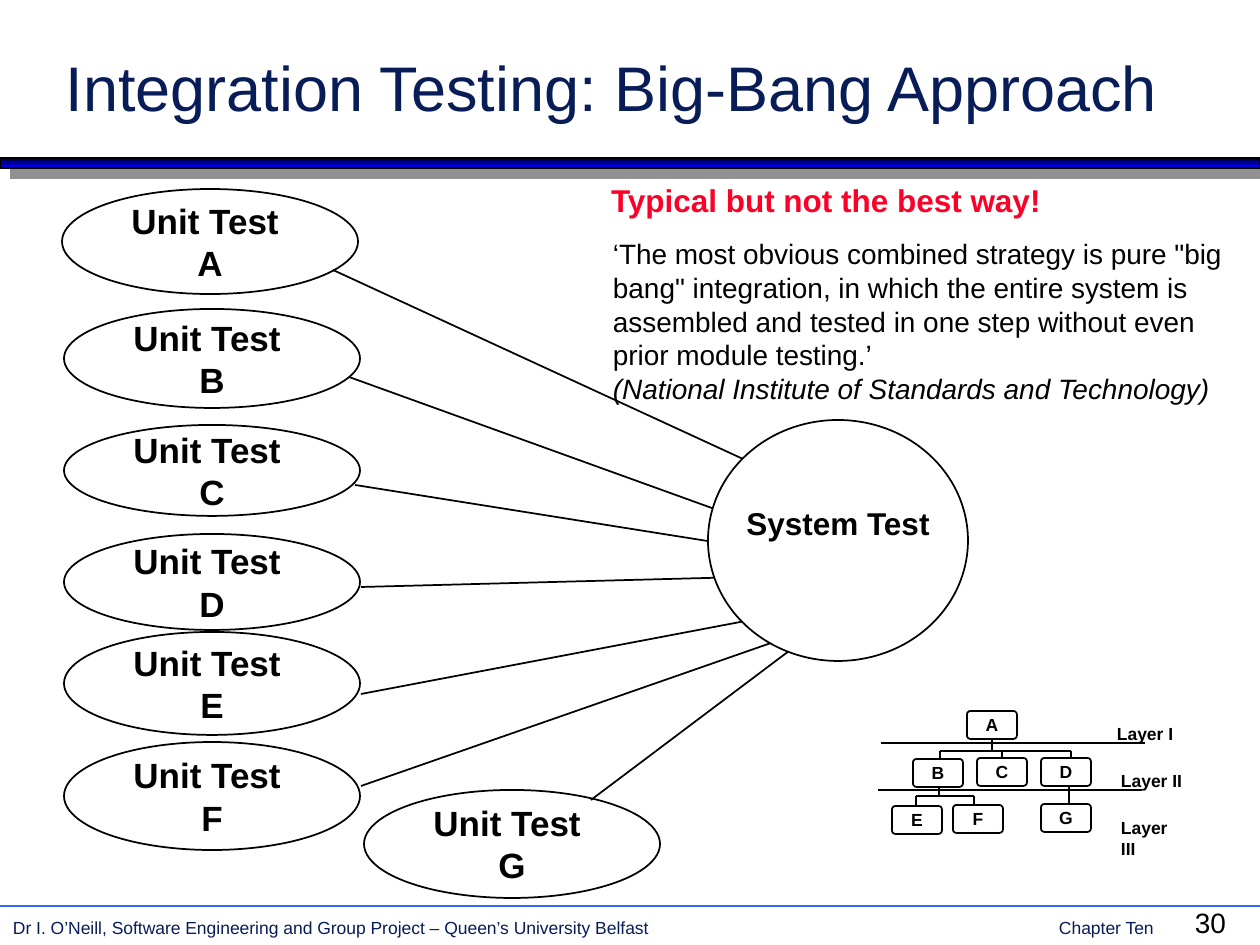
from lxml import etree
from pptx import Presentation
from pptx.dml.color import RGBColor
from pptx.enum.shapes import MSO_CONNECTOR as Connector, MSO_SHAPE as Shape
from pptx.enum.text import MSO_ANCHOR as Anchor, PP_ALIGN as Align
from pptx.oxml import parse_xml
from pptx.oxml.ns import nsdecls, qn
from pptx.util import Pt

EMU_PER_PX = 914400 / 126
COLOURS = {
    "navy": "081D58", "black": "000000", "white": "FFFFFF", "red": "FC0128",
    "rule": "3366FF", "bar_top": "000036", "bar_bottom": "0000FF", "shadow": "919191",
}
UNIT_WIDTH = 296
UNITS = [
    ("A", 0, 0, 105, (271, 81, 707, 282)),
    ("B", 2, 120, 99, (287, 188, 683, 331)),
    ("C", 2, 236, 91, (293, 296, 683, 358)),
    ("D", 2, 345, 96, (299, 398, 683, 388)),
    ("E", 2, 443, 103, (299, 505, 694, 430)),
    ("F", 2, 553, 108, (299, 597, 709, 454)),
    ("G", 302, 601, 108, (529, 611, 727, 462)),
]
MODULES = [("A", 89, 1), ("B", 35, 49), ("C", 99, 48), ("D", 163, 48),
           ("E", 14, 96), ("F", 75, 95), ("G", 163, 94)]
BRANCHES = [
    (114, 28, 114, 40), (62, 41, 193, 41), (62, 41, 62, 49), (124, 41, 124, 48),
    (193, 41, 193, 48), (61, 77, 61, 85), (38, 86, 96, 86), (38, 86, 38, 96),
    (96, 86, 96, 95), (191, 76, 191, 94), (3, 33, 267, 33), (0, 80, 264, 80),
]
LAYERS = [("Layer I", 226, 7), ("Layer II", 230, 54), ("Layer III", 230, 101)]


def px(*lengths):
    """Turn pixel lengths into EMU."""
    return [round(length * EMU_PER_PX) for length in lengths]


def colour(name):
    """Look up a named colour."""
    return RGBColor.from_string(COLOURS[name])


def add_span(para, text, size, ink="black", **formats):
    """Add one formatted run to a paragraph."""
    span = para.add_run()
    span.text = text
    for key, value in {"name": "Arial", "size": Pt(size), **formats}.items():
        setattr(span.font, key, value)
    span.font.color.rgb = colour(ink)


def set_frame(shape, wrap, **formats):
    """Give a shape's text frame the standard insets and return it."""
    left, top = px(13, 6)
    values = {"margin_left": left, "margin_right": left, "margin_top": top,
              "margin_bottom": top, "word_wrap": wrap, **formats}
    for key, value in values.items():
        setattr(shape.text_frame, key, value)
    return shape.text_frame


def add_text(page, box, text, size, ink="black", wrap=True, anchor=Anchor.TOP, **formats):
    """Place a text box and return its first paragraph."""
    frame = set_frame(page.shapes.add_textbox(*px(*box)), wrap, vertical_anchor=anchor)
    para = frame.paragraphs[0]
    add_span(para, text, size, ink, **formats)
    return para


def add_node(page, kind, box, lines, size, fill=None, **formats):
    """Place an outlined shape with centred bold lines of text."""
    node = page.shapes.add_shape(kind, *px(*box))
    node.shadow.inherit = False
    node.line.color.rgb, node.line.width = colour("black"), Pt(1)
    if fill:
        node.fill.solid()
        node.fill.fore_color.rgb = colour(fill)
    else:
        node.fill.background()
    frame = set_frame(node, False, vertical_anchor=Anchor.MIDDLE, **formats)
    for index, line in enumerate(lines):
        para = frame.add_paragraph() if index else frame.paragraphs[0]
        para.alignment = Align.CENTER
        add_span(para, line, size, bold=True)
    return node


def add_line(page, origin, ends, ink="black"):
    """Draw a straight line between two points relative to an origin."""
    left, top = origin
    x1, y1, x2, y2 = ends
    line = page.shapes.add_connector(
        Connector.STRAIGHT, *px(left + x1, top + y1, left + x2, top + y2))
    line.line.color.rgb, line.line.width = colour(ink), Pt(1)
    etree.SubElement(line._element.spPr, qn("a:effectLst"))


def add_header(page, box):
    """Place the title and the shaded bar below it."""
    left, top, width, height = box
    add_text(page, (left + 53, top + 37, width - 87, 98),
             "Integration Testing: Big-Bang Approach", 36, "navy", anchor=Anchor.MIDDLE)
    bar = page.shapes.add_shape(Shape.RECTANGLE, *px(left, top + height - 10, width, 10))
    bar.line.color.rgb, bar.line.width = colour("black"), Pt(1)
    bar.fill.gradient()
    bar.fill.gradient_angle = 270
    for stop, name, position in zip(bar.fill.gradient_stops, ("bar_top", "bar_bottom"), (0, 1)):
        stop.color.rgb, stop.position = colour(name), position
    bar._element.spPr.append(parse_xml(
        f'<a:effectLst {nsdecls("a")}><a:outerShdw dist="{Pt(8.5)}" dir="2700000" '
        f'algn="ctr" rotWithShape="0"><a:srgbClr val="{COLOURS["shadow"]}"/>'
        '</a:outerShdw></a:effectLst>'))


def add_footer(page, box):
    """Place the footer rule, course line, chapter and page number."""
    left, top, width, _ = box
    add_line(page, (left, top), (0, 0, width, 0), "rule")
    para = add_text(
        page, (left, top + 5, width - 82, 33),
        "Dr I. O’Neill, Software Engineering and Group Project – Queen’s University Belfast"
        "\tChapter Ten", 10, "navy")
    tabs = etree.SubElement(para._p.get_or_add_pPr(), qn("a:tabLst"))
    etree.SubElement(tabs, qn("a:tab"), pos=str(px(1046)[0]), algn="l")
    add_text(page, (left + width - 78, top - 6, 63, 47), "30", 16)


def add_comment(page, box):
    """Place the red verdict and the quotation under it."""
    left, top, width, height = box
    add_text(page, (left, top, 457, 50), "Typical but not the best way!", 18, "red",
             wrap=False, bold=True)
    para = add_text(
        page, (left + 2, top + 56, width - 2, height - 56),
        '‘The most obvious combined strategy is pure "big bang" integration, in which the '
        "entire system is assembled and tested in one step without even prior module testing.’",
        16)
    para.add_line_break()
    add_span(para, "(National Institute of Standards and Technology)", 16, italic=True)


def add_big_bang(page, box):
    """Place the unit tests, all joined straight to the system test."""
    left, top, width, _ = box
    for letter, x, y, height, link in UNITS:
        add_node(page, Shape.OVAL, (left + x, top + y, UNIT_WIDTH, height),
                 ("Unit Test ", letter), 20)
        add_line(page, (left, top), link)
    add_node(page, Shape.OVAL, (left + width - 260, top + 231, 260, 241), ("System Test",),
             18, "white", margin_bottom=px(42)[0])


def add_module_tree(page, box):
    """Place the small tree of modules in three layers."""
    left, top = box[:2]
    for letter, x, y in MODULES:
        node = add_node(page, Shape.ROUNDED_RECTANGLE, (left + x, top + y, 50, 28), letter, 10)
        node.adjustments[0] = 0.125
    for branch in BRANCHES:
        add_line(page, (left, top), branch)
    for label, x, y in LAYERS:
        add_text(page, (left + x, top + y, 88, 33), label, 10, wrap=False, bold=True)


def main():
    """Build the deck and save it."""
    deck = Presentation()
    deck.slide_width, deck.slide_height = px(1260, 945)
    page = deck.slides.add_slide(deck.slide_layouts[6])
    add_header(page, (0, 0, 1260, 168))
    add_footer(page, (0, 906, 1260, 39))
    add_big_bang(page, (62, 189, 906, 709))
    add_comment(page, (598, 175, 647, 237))
    add_module_tree(page, (878, 710, 320, 134))
    deck.save("out.pptx")


if __name__ == "__main__":
    main()
